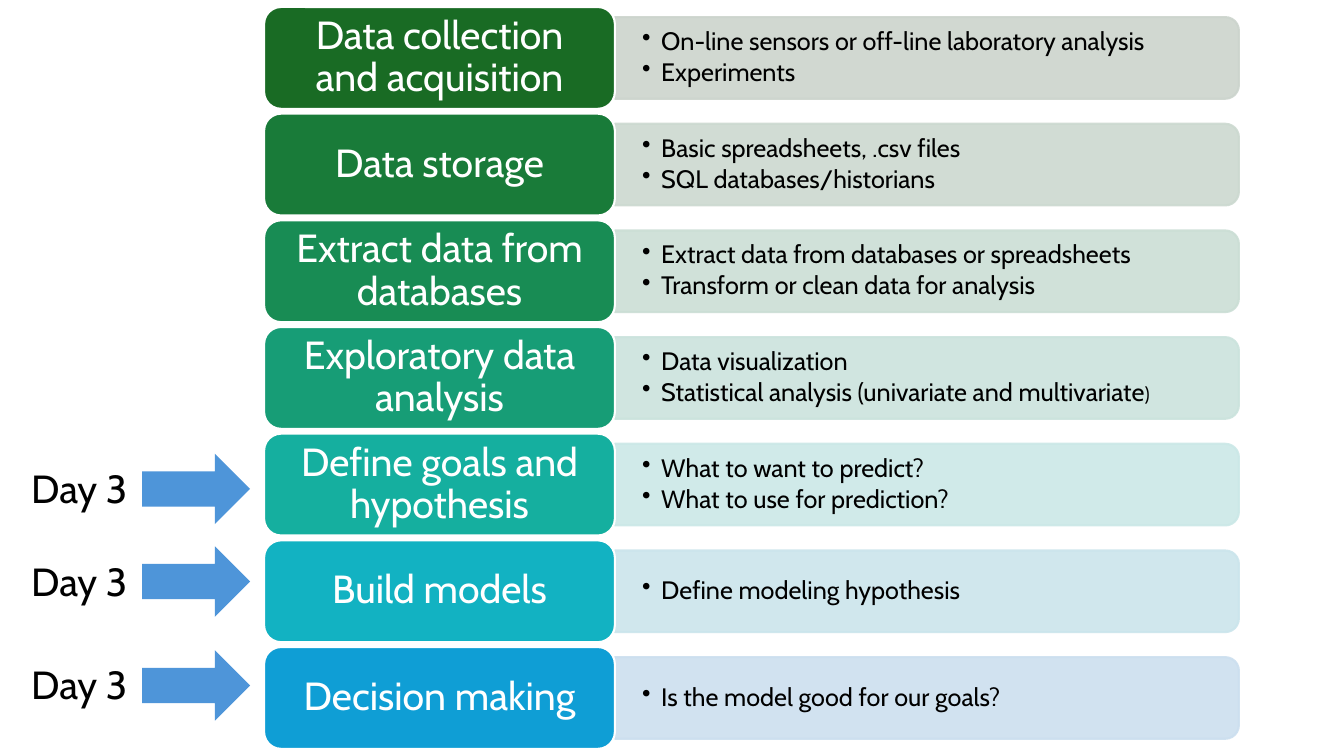
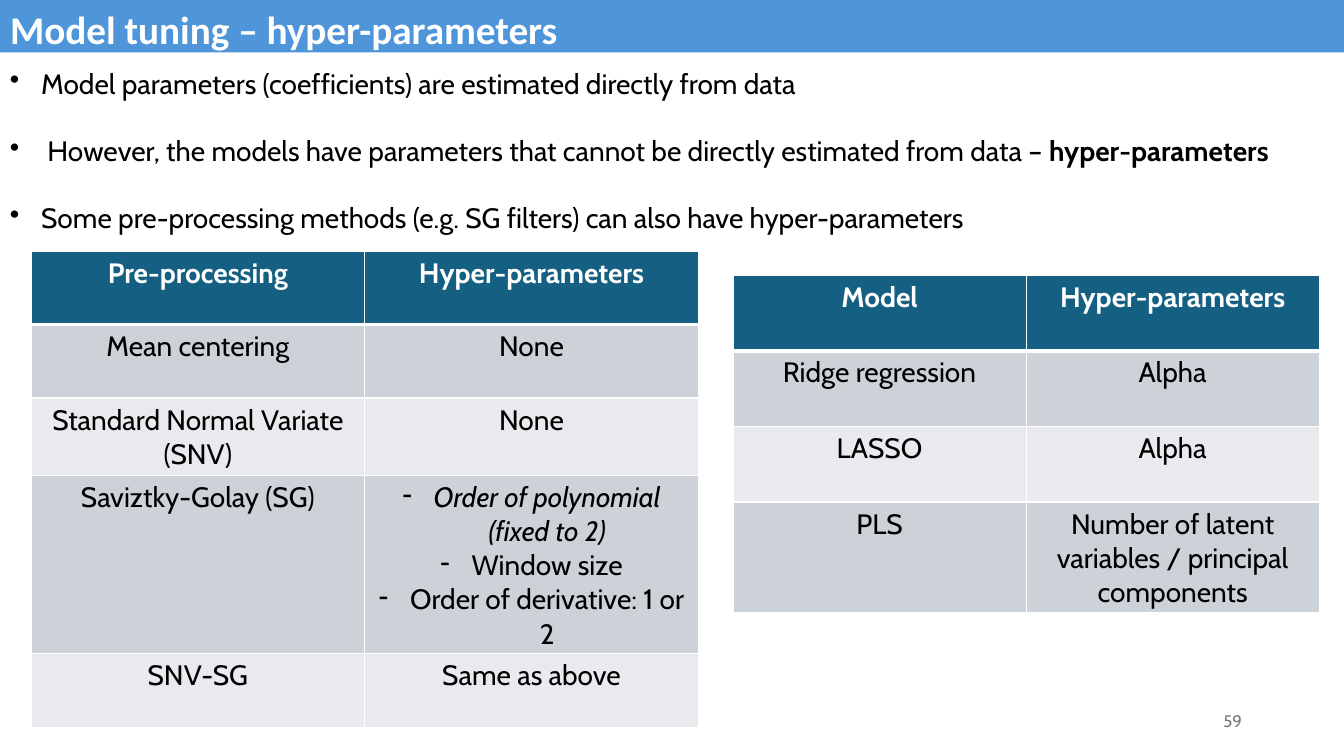
from dataclasses import dataclass
from itertools import accumulate
from typing import NamedTuple, Optional, Sequence, Union

from lxml import etree
from pptx import Presentation
from pptx import util as u
from pptx.dml.color import RGBColor
from pptx.enum import shapes, text
from pptx.oxml.ns import qn

WIDTH, HEIGHT = u.Inches(13.33), u.Inches(7.5)
FONT, TITLE_FONT = "Cabin", "Calibri"
COLORS = {
    "white": "FFFFFF", "black": "000000", "accent": "4E95D9", "number": "797979",
    "header": "156082", "odd row": "CCD2D8", "even row": "E8EAED",
}
LEFT, CENTER, RIGHT = text.PP_ALIGN.LEFT, text.PP_ALIGN.CENTER, text.PP_ALIGN.RIGHT
TOP, MIDDLE = text.MSO_ANCHOR.TOP, text.MSO_ANCHOR.MIDDLE
TITLE_ONLY, BLANK = 5, 6


class Area(NamedTuple):
    """A rectangle in percent of the slide's width and height."""
    left: float
    top: float
    width: float
    height: float

    def lengths(self) -> tuple[int, int, int, int]:
        return (across(self.left), down(self.top),
                across(self.width), down(self.height))


class Span(NamedTuple):
    text: str
    bold: bool = False
    italic: bool = False
    size: Optional[float] = None


Line = Union[str, Sequence[Span]]


@dataclass(frozen=True)
class Step:
    name: str
    details: Sequence[Line]
    color: str
    tint: str


@dataclass(frozen=True)
class Grid:
    """Table position, row heights in percent, and cells as lists of lines."""
    left: float
    top: float
    width: float
    heights: Sequence[float]
    rows: Sequence[Sequence[Sequence[Line]]]


STEPS = [
    Step("Data collection and acquisition",
         ["On-line sensors or off-line laboratory analysis", "Experiments"],
         "196B24", "CCD4CD"),
    Step("Data storage",
         ["Basic spreadsheets, .csv files", "SQL databases/historians"],
         "197B39", "CCD9D0"),
    Step("Extract data from databases",
         ["Extract data from databases or spreadsheets",
          "Transform or clean data for analysis"],
         "188C54", "CBDED5"),
    Step("Exploratory data analysis",
         ["Data visualization",
          [Span("Statistical analysis (univariate and multivariate"), Span(")", size=14)]],
         "179D76", "CBE3DD"),
    Step("Define goals and hypothesis",
         ["What to want to predict?", "What to use for prediction?"],
         "15AF9F", "CBE8E7"),
    Step("Build models", ["Define modeling hypothesis"], "12B2C2", "CBE5EC"),
    Step("Decision making", ["Is the model good for our goals?"], "0F9ED5", "CCDFEF"),
]
STEP_TOP, STEP_PITCH, STEP_HEIGHT = 0.93, 14.11, 13.47
LABEL_LEFT, LABEL_WIDTH = 19.65, 26.1
PANEL_LEFT, PANEL_WIDTH, PANEL_HEIGHT = 45.75, 46.43, 10.8
DAY_MIDDLES = [64.67, 76.93, 90.67]

STATEMENTS: list[Line] = [
    "Model parameters (coefficients) are estimated directly from data",
    [Span(" However, the models have parameters that cannot be directly "
          "estimated from data – "), Span("hyper-parameters", bold=True)],
    "Some pre-processing methods (e.g. SG filters) can also have hyper-parameters",
]
MODELS = Grid(54.54, 36.4, 43.62, [10] * 4, [
    [["Model"], ["Hyper-parameters"]],
    [["Ridge regression"], ["Alpha"]],
    [["LASSO"], ["Alpha"]],
    [["PLS"], ["Number of latent variables / principal components"]],
])
PREPROCESSING = Grid(2.31, 33.2, 49.66, [9.73, 9.73, 9.73, 21.2, 9.73], [
    [["Pre-processing"], ["Hyper-parameters"]],
    [["Mean centering"], ["None"]],
    [["Standard Normal Variate (SNV)"], ["None"]],
    [["Saviztky-Golay (SG)"],
     [[Span("Order of polynomial (fixed to 2)", italic=True)],
      "Window size", "Order of derivative: 1 or 2"]],
    [["SNV-SG"], ["Same as above"]],
])


def across(percent: float) -> int:
    return round(WIDTH * percent / 100)


def down(percent: float) -> int:
    return round(HEIGHT * percent / 100)


def rgb(color: str) -> RGBColor:
    return RGBColor.from_string(COLORS.get(color, color))


def add_bullet(para, symbol: str, indent: float) -> None:
    properties = para._p.get_or_add_pPr()
    properties.set("marL", str(u.Inches(indent)))
    properties.set("indent", str(-u.Inches(indent)))
    etree.SubElement(properties, qn("a:buChar")).set("char", symbol)


def write(frame, lines: Sequence[Line], *, size: float, color: str = "black",
          font: str = FONT, bold: bool = False, align=LEFT, anchor=TOP,
          bullet: str = "", indent: float = 0.31, spacing: Optional[float] = None,
          before: float = 0, after: float = 0,
          inset: tuple[float, float] = (0.1, 0.05)) -> None:
    """Fill a text frame; inset is the horizontal and vertical margin in inches."""
    frame.word_wrap = True
    frame.vertical_anchor = anchor
    frame.margin_left = frame.margin_right = u.Inches(inset[0])
    frame.margin_top = frame.margin_bottom = u.Inches(inset[1])
    for index, line in enumerate(lines):
        para = frame.add_paragraph() if index else frame.paragraphs[0]
        para.alignment = align
        if bullet:
            add_bullet(para, bullet, indent)
        if spacing:
            para.line_spacing = spacing
        if before and index:
            para.space_before = u.Pt(before)
        if after:
            para.space_after = u.Pt(after)
        for span in [Span(line)] if isinstance(line, str) else line:
            run = para.add_run()
            run.text = span.text
            run.font.name = font
            run.font.size = u.Pt(span.size or size)
            run.font.bold = bold or span.bold
            run.font.italic = span.italic
            run.font.color.rgb = rgb(color)


def add_text(page, area: Area, lines: Sequence[Line], **style) -> None:
    write(page.shapes.add_textbox(*area.lengths()).text_frame, lines, **style)


def add_block(page, kind, area: Area, fill: str, line: Optional[str] = None):
    box = page.shapes.add_shape(kind, *area.lengths())
    box.shadow.inherit = False
    box.fill.solid()
    box.fill.fore_color.rgb = rgb(fill)
    if line:
        box.line.color.rgb = rgb(line)
        box.line.width = u.Pt(1.5)
    else:
        box.line.fill.background()
    return box


def add_panel(page, area: Area, tint: str) -> None:
    """Draw a translucent panel with its two right corners rounded."""
    box = add_block(page, shapes.MSO_SHAPE.ROUND_2_SAME_RECTANGLE, area, tint, tint)
    left, top, width, height = area.lengths()
    box.left, box.top = left + (width - height) // 2, top + (height - width) // 2
    box.width, box.height = height, width
    box.rotation = 90
    for color in box._element.spPr.iter(qn("a:srgbClr")):
        etree.SubElement(color, qn("a:alpha")).set("val", "90000")


def add_step(page, step: Step, top: float) -> None:
    panel_top = top + (STEP_HEIGHT - PANEL_HEIGHT) / 2
    panel = Area(PANEL_LEFT, panel_top, PANEL_WIDTH, PANEL_HEIGHT)
    add_panel(page, panel, step.tint)
    add_text(page, panel, step.details, size=18, anchor=MIDDLE, bullet="•",
             indent=0.19, spacing=0.9, after=2.7, inset=(0.27, 0.14))
    label = add_block(page, shapes.MSO_SHAPE.ROUNDED_RECTANGLE,
                      Area(LABEL_LEFT, top, LABEL_WIDTH, STEP_HEIGHT),
                      step.color, "white")
    write(label.text_frame, [step.name], size=28, color="white", align=CENTER,
          anchor=MIDDLE, spacing=0.9, inset=(0.17, 0.11))


def add_day(page, middle: float) -> None:
    arrow_height, text_height = 9.33, 7.87
    add_block(page, shapes.MSO_SHAPE.RIGHT_ARROW,
              Area(10.58, middle - arrow_height / 2, 8.03, arrow_height), "accent")
    add_text(page, Area(0.83, middle - text_height / 2, 10.13, text_height),
             ["Day 3"], size=28, align=CENTER)


def add_borders(cell, widths: dict[str, float]) -> None:
    properties = cell._tc.get_or_add_tcPr()
    for side, width in widths.items():
        border = etree.SubElement(properties, qn(f"a:ln{side}"))
        border.set("w", str(u.Pt(width)))
        fill = etree.SubElement(border, qn("a:solidFill"))
        etree.SubElement(fill, qn("a:srgbClr")).set("val", COLORS["white"])


def add_grid(page, grid: Grid) -> None:
    area = Area(grid.left, grid.top, grid.width, list(accumulate(grid.heights))[-1])
    table = page.shapes.add_table(len(grid.rows), len(grid.rows[0]),
                                  *area.lengths()).table
    table.horz_banding = False
    for row, (height, cells) in enumerate(zip(grid.heights, grid.rows)):
        table.rows[row].height = down(height)
        header = row == 0
        fill = "header" if header else "odd row" if row % 2 else "even row"
        for column, lines in enumerate(cells):
            cell = table.cell(row, column)
            add_borders(cell, {"L": 1, "R": 1, "T": 3 if row == 1 else 1,
                               "B": 3 if header else 1})
            cell.fill.solid()
            cell.fill.fore_color.rgb = rgb(fill)
            write(cell.text_frame, lines, size=20, bold=header, align=CENTER,
                  color="white" if header else "black",
                  bullet="-" if len(lines) > 1 else "")


def add_title(page, title: str) -> None:
    box = page.shapes.title
    box.left, box.top, box.width, box.height = Area(0, 0, 100, 6.93).lengths()
    box.fill.solid()
    box.fill.fore_color.rgb = rgb("accent")
    box.text_frame.auto_size = text.MSO_AUTO_SIZE.NONE
    write(box.text_frame, [title], size=28, color="white", font=TITLE_FONT, bold=True)


def build_workflow(deck) -> None:
    page = deck.slides.add_slide(deck.slide_layouts[BLANK])
    for index, step in enumerate(STEPS):
        add_step(page, step, STEP_TOP + index * STEP_PITCH)
    for middle in DAY_MIDDLES:
        add_day(page, middle)


def build_tuning(deck) -> None:
    page = deck.slides.add_slide(deck.slide_layouts[TITLE_ONLY])
    add_title(page, "Model tuning – hyper-parameters")
    add_text(page, Area(70.65, 92.67, 22.5, 5.33), ["59"], size=12,
             color="number", align=RIGHT, anchor=MIDDLE)
    add_text(page, Area(0, 8.13, 100, 23.73), STATEMENTS, size=20,
             bullet="•", before=24)
    for grid in (MODELS, PREPROCESSING):
        add_grid(page, grid)


def main() -> None:
    deck = Presentation()
    deck.slide_width, deck.slide_height = WIDTH, HEIGHT
    build_workflow(deck)
    build_tuning(deck)
    deck.save("out.pptx")


if __name__ == "__main__":
    main()
